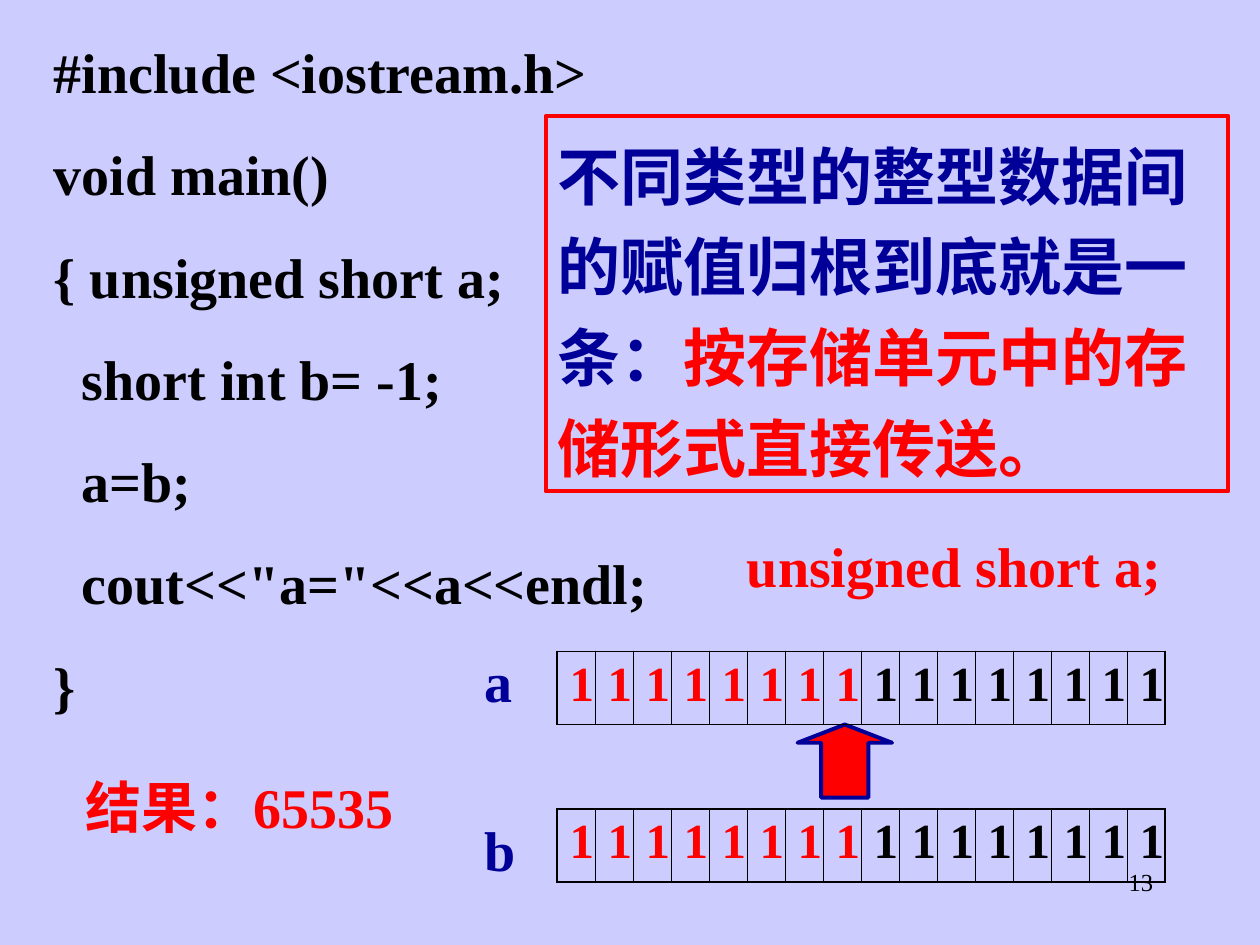
from lxml.etree import SubElement
from pptx import Presentation
from pptx.dml.color import RGBColor
from pptx.enum.shapes import MSO_SHAPE
from pptx.enum.text import PP_ALIGN
from pptx.oxml import parse_xml
from pptx.oxml.ns import nsdecls, qn
from pptx.util import Inches, Pt

LATIN, HAN = "Times New Roman", "Noto Sans CJK SC"
BLACK, RED, NAVY, LAVENDER = "000000", "FF0000", "000099", "CCCCFF"
BITS = 16
A_TOP, B_TOP = 5.17, 6.42
CODE = [
    "#include <iostream.h>",
    "void main()",
    "{ unsigned short a;",
    "  short int b= -1;",
    "  a=b;",
    '  cout<<"a="<<a<<endl;',
    "}",
]


def color(value):
    """Turn a hex string into a colour."""
    return RGBColor.from_string(value)


def add_span(para, text, size=32, fill=BLACK, bold=True, font=LATIN):
    """Append formatted text to a paragraph."""
    span = para.add_run()
    span.text = text
    span.font.size = Pt(size)
    span.font.bold = bold
    span.font.name = font
    span.font.color.rgb = color(fill)
    SubElement(span.font._element, qn("a:ea"), typeface=HAN)


def add_text(page, lines, left, top, width, height,
             align=PP_ALIGN.LEFT, gap=0, **style):
    """Add a text box with one paragraph per line."""
    box = page.shapes.add_textbox(Inches(left), Inches(top), Inches(width), Inches(height))
    frame = box.text_frame
    frame.word_wrap = True
    for index, line in enumerate(lines):
        para = frame.add_paragraph() if index else frame.paragraphs[0]
        para.alignment = align
        if index:
            para.space_before = Pt(gap)
        add_span(para, line, **style)
    return box


def add_rule_box(page):
    """Add the framed statement of the assignment rule."""
    box = add_text(page, ["不同类型的整型数据间的赋值归根到底就是一条："],
                   4.33, 0.92, 5.42, 2.98, size=36, fill=NAVY, font=HAN)
    para = box.text_frame.paragraphs[0]
    para.line_spacing = 1.2
    add_span(para, "按存储单元中的存储形式直接传送。", size=36, fill=RED, font=HAN)
    box.line.color.rgb = color(RED)
    box.line.width = Pt(2.25)


def set_borders(cell, widths):
    """Draw black borders of the given widths around a cell."""
    for index, (side, width) in enumerate(widths.items()):
        cell._tc.get_or_add_tcPr().insert(index, parse_xml(
            f'<a:ln{side} {nsdecls("a")} w="{Pt(width)}"><a:solidFill>'
            f'<a:srgbClr val="{BLACK}"/></a:solidFill></a:ln{side}>'))


def add_memory(page, top):
    """Add an empty row of memory cells and return its table."""
    table = page.shapes.add_table(1, BITS, Inches(4.42), Inches(top),
                                  Inches(4.83), Inches(0.58)).table
    table.first_row = table.horz_banding = False
    thin, thick = 0.45, 1.08
    for index, cell in enumerate(table.rows[0].cells):
        cell.fill.background()
        set_borders(cell, {"L": thin if index else thick,
                           "R": thin if index < BITS - 1 else thick,
                           "T": thick, "B": thick})
    return table


def add_bits(page, top):
    """Add a row of one bits with the high byte in red."""
    for index, cell in enumerate(add_memory(page, top).rows[0].cells):
        add_span(cell.text_frame.paragraphs[0], "1", size=28,
                 fill=RED if index < BITS // 2 else BLACK)


def add_up_arrow(page):
    """Add the arrow from variable b to variable a."""
    arrow = page.shapes.add_shape(MSO_SHAPE.UP_ARROW, Inches(6.33), Inches(5.75),
                                  Inches(0.75), Inches(0.58))
    arrow.adjustments[0] = 0.5
    arrow.adjustments[1] = 0.25
    arrow.shadow.inherit = False
    arrow.fill.solid()
    arrow.fill.fore_color.rgb = color(RED)
    arrow.line.color.rgb = color(NAVY)
    arrow.line.width = Pt(2.25)


def main():
    """Build the slide and save the deck."""
    deck = Presentation()
    deck.slide_width, deck.slide_height = Inches(10), Inches(7.5)
    page = deck.slides.add_slide(deck.slide_layouts[6])
    page.background.fill.solid()
    page.background.fill.fore_color.rgb = color(LAVENDER)

    add_text(page, ["13"], 7.17, 6.83, 2.08, 0.5, align=PP_ALIGN.RIGHT,
             size=14, bold=False)
    add_text(page, CODE, 0.33, 0.25, 5.5, 5.5, align=PP_ALIGN.JUSTIFY, gap=20)
    add_text(page, ["结果：65535"], 0.58, 6.08, 4.5, 0.64, fill=RED)
    add_rule_box(page)
    add_memory(page, A_TOP)
    add_text(page, ["a"], 3.75, 5.08, 0.5, 0.64, fill=NAVY)
    add_bits(page, B_TOP)
    add_text(page, ["b"], 3.75, 6.42, 0.5, 0.64, fill=NAVY)
    add_up_arrow(page)
    add_bits(page, A_TOP)
    add_text(page, ["unsigned short a;"], 5.83, 4.17, 3.83, 0.64,
             align=PP_ALIGN.JUSTIFY, fill=RED)
    deck.save("out.pptx")


if __name__ == "__main__":
    main()
